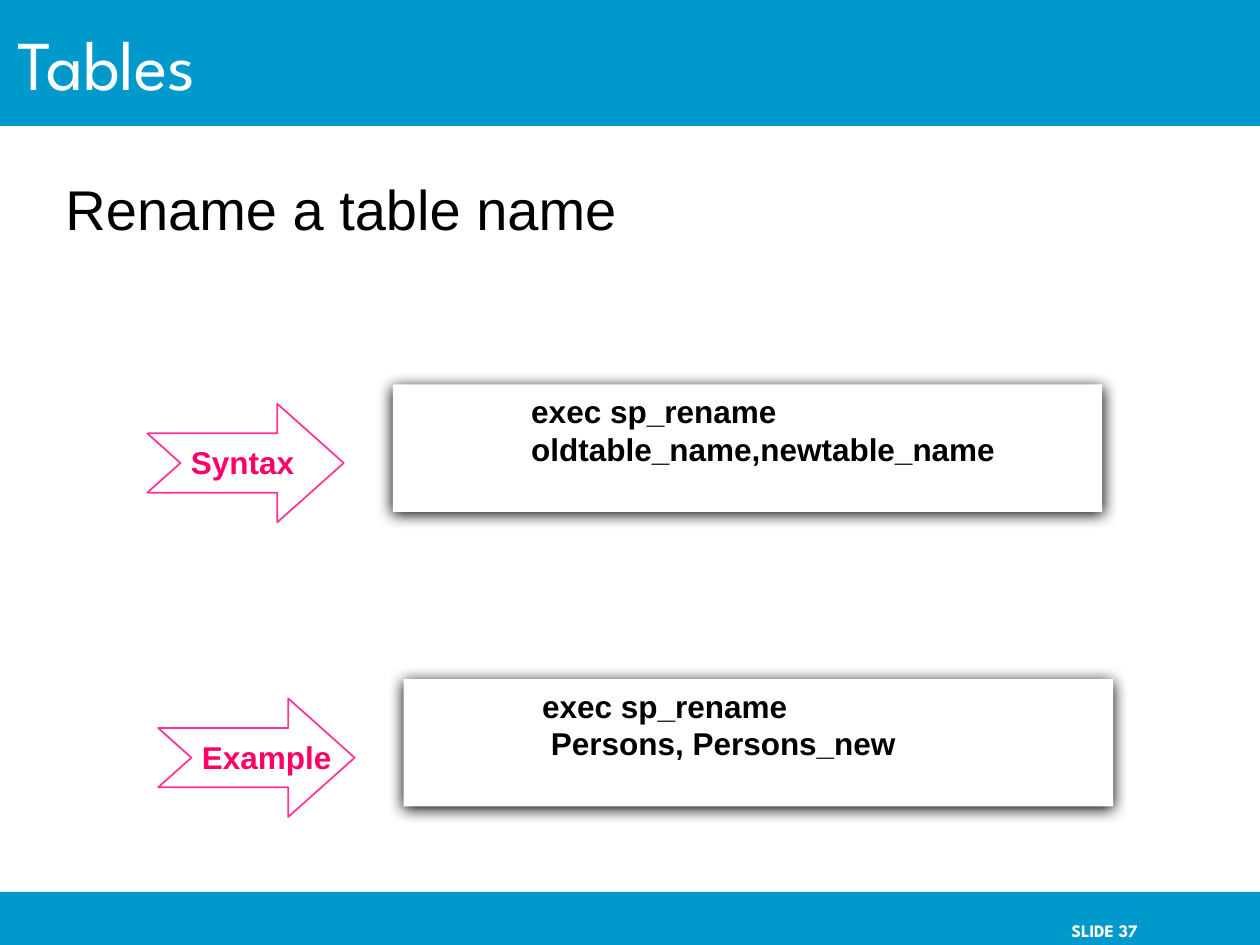
from lxml.etree import SubElement
from pptx import Presentation
from pptx.dml.color import RGBColor
from pptx.enum.shapes import MSO_SHAPE
from pptx.enum.text import MSO_ANCHOR, MSO_AUTO_SIZE, PP_ALIGN
from pptx.oxml.ns import qn
from pptx.util import Cm, Pt

WIDTH, HEIGHT = 25.4, 19.05
HEADING_FONT, BODY_FONT = "League Spartan", "Arial"
BLUE, WHITE, BLACK = "0099CC", "FFFFFF", "000000"
PINK, LABEL_PINK = "FF3399", "FF0066"

TITLE = "Tables"
TOPIC = "Rename a table name"
SLIDE_NUMBER = "SLIDE 37"
BANDS = [(0, 2.54), (17.98, 1.07)]
EXAMPLES = [
    ("Syntax", 7.92, 7.75, ["exec sp_rename oldtable_name,newtable_name"]),
    ("Example", 8.14, 13.69, ["exec sp_rename", " Persons, Persons_new"]),
]


def color(value):
    return RGBColor.from_string(value)


def place(shape, left, top, width, height):
    shape.left, shape.top = Cm(left), Cm(top)
    shape.width, shape.height = Cm(width), Cm(height)


def write(shape, lines, size, font=BODY_FONT, fill=BLACK, bold=False,
          align=PP_ALIGN.LEFT, anchor=MSO_ANCHOR.TOP, inset=(0.25, 0.13, 0.25, 0.13)):
    frame = shape.text_frame
    frame.word_wrap = True
    frame.auto_size = MSO_AUTO_SIZE.NONE
    frame.vertical_anchor = anchor
    frame.margin_left, frame.margin_top, frame.margin_right, frame.margin_bottom = map(Cm, inset)
    frame.text = "\n".join(lines)
    for para in frame.paragraphs:
        properties = para._p.get_or_add_pPr()
        properties.set("marL", "0")
        properties.set("indent", "0")
        para.alignment = align
        para.space_before = Pt(0)
        SubElement(properties, qn("a:buNone"))
        for span in para.runs:
            span.font.name = font
            span.font.size = Pt(size)
            span.font.bold = bold
            span.font.color.rgb = color(fill)


def add_block(shapes, kind, left, top, width, height, fill, line=None):
    block = shapes.add_shape(kind, Cm(left), Cm(top), Cm(width), Cm(height))
    block.fill.solid()
    block.fill.fore_color.rgb = color(fill)
    if line:
        block.line.color.rgb = color(line)
        block.line.width = Pt(1)
    else:
        block.line.fill.background()
    block.shadow.inherit = False
    return block


def add_shadow(shape):
    effects = shape.element.spPr.find(qn("a:effectLst"))
    shadow = SubElement(effects, qn("a:outerShdw"), blurRad=str(Pt(8.5)),
                        dist=str(Pt(1)), dir="5400000", algn="t", rotWithShape="0")
    SubElement(shadow, qn("a:srgbClr"), val=BLACK)


def add_example(page, label, left, top, code):
    box = add_block(page.shapes, MSO_SHAPE.RECTANGLE, left, top, 14.3, 2.57, WHITE)
    add_shadow(box)
    write(box, code, 18, bold=True, inset=(2.79, 0.15, 0.25, 0.13))
    group = page.shapes.add_group_shape()
    arrow = add_block(group.shapes, MSO_SHAPE.NOTCHED_RIGHT_ARROW,
                      left - 4.95, top + 0.39, 3.96, 2.39, WHITE, PINK)
    arrow.adjustments[0], arrow.adjustments[1] = 0.5, 0.56
    caption = group.shapes.add_textbox(Cm(left - 4.32), Cm(top + 1.05), Cm(3.55), Cm(1.73))
    write(caption, [label], 18, fill=LABEL_PINK, bold=True)


def main():
    deck = Presentation()
    deck.slide_width, deck.slide_height = Cm(WIDTH), Cm(HEIGHT)
    page = deck.slides.add_slide(deck.slide_layouts[1])

    for top, height in BANDS:
        add_block(page.shapes, MSO_SHAPE.RECTANGLE, 0, top, WIDTH, height, BLUE)

    title, body = page.shapes.title, page.placeholders[1]
    for holder in (title, body):
        holder.element.getparent().append(holder.element)
    place(title, 0.1, 0, 21.59, 2.54)
    write(title, [TITLE], 40, HEADING_FONT, WHITE, anchor=MSO_ANCHOR.MIDDLE)
    place(body, 1.07, 3.38, 22.86, 13.76)
    write(body, [TOPIC], 32)

    for label, left, top, code in EXAMPLES:
        add_example(page, label, left, top, code)

    number = page.shapes.add_textbox(Cm(18.85), Cm(18.45), Cm(4.08), Cm(0.6))
    write(number, [SLIDE_NUMBER], 10, HEADING_FONT, WHITE, bold=True,
          align=PP_ALIGN.RIGHT, anchor=MSO_ANCHOR.MIDDLE, inset=(0, 0, 0, 0))

    deck.save("out.pptx")


if __name__ == "__main__":
    main()
